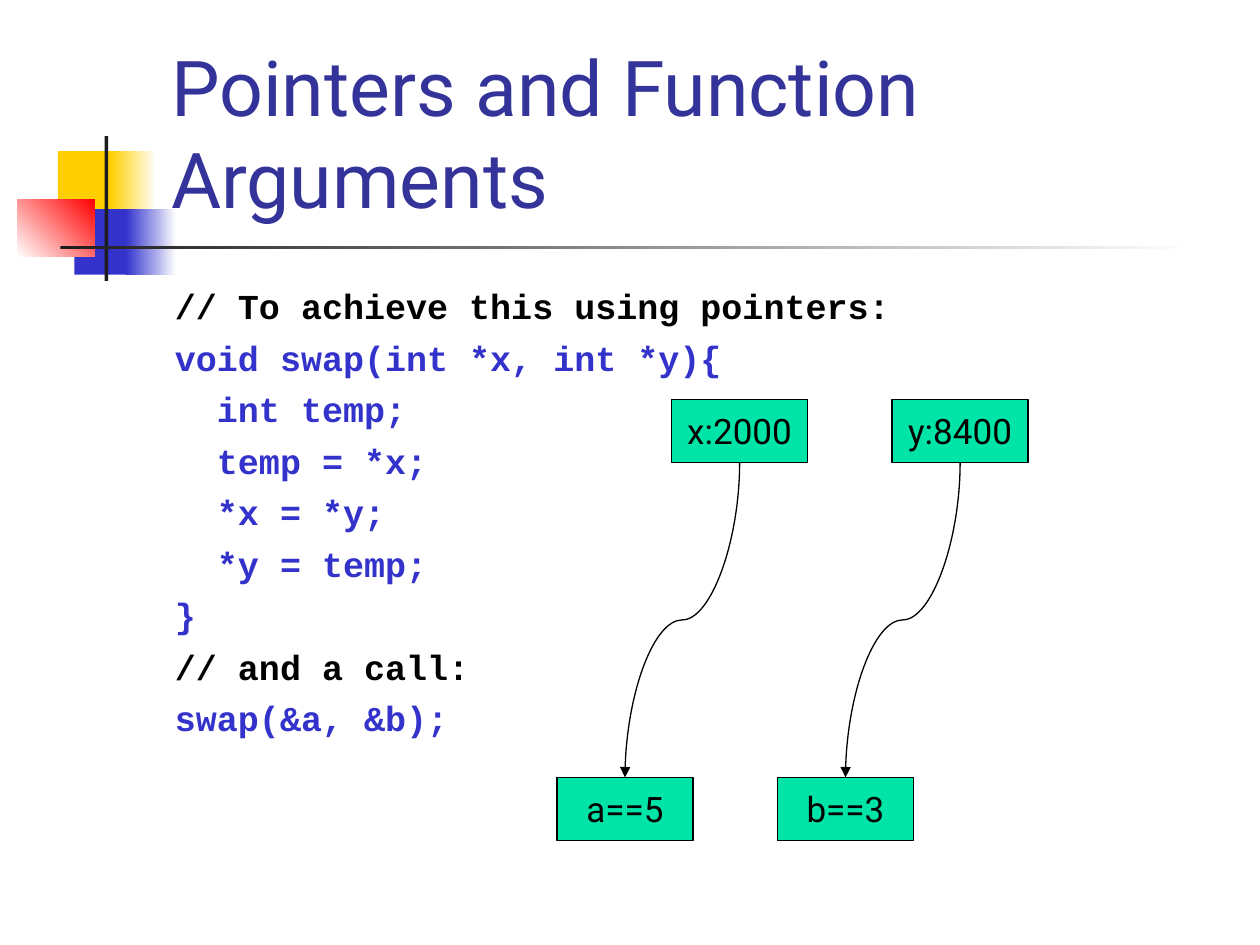
import pptx
import pptx.dml.color
import pptx.enum.shapes
import pptx.enum.text
import pptx.oxml
import pptx.oxml.ns
import pptx.util
from pptx.util import Inches

COLORS = {
    "yellow": "FFCF01", "blue": "3333CC", "red": "FF0000", "white": "FFFFFF",
    "charcoal": "1C1C1C", "title": "333399", "black": "000000", "green": "00E4A8",
}


class SlideBuilder:
    """Draws styled elements on one slide."""

    body_font = "Roboto"
    code_font = "Courier New"

    def __init__(self, slide):
        self.slide = slide

    def color(self, name):
        return pptx.dml.color.RGBColor.from_string(COLORS[name])

    def format_paragraph(self, paragraph, size, font, color, bold=False):
        for run in paragraph.runs:
            run.font.size = pptx.util.Pt(size)
            run.font.name = font
            run.font.bold = bold
            run.font.color.rgb = self.color(color)

    def rectangle(self, left, top, width, height, color, end_color=None, angle=0):
        shape = self.slide.shapes.add_shape(
            pptx.enum.shapes.MSO_SHAPE.RECTANGLE,
            Inches(left), Inches(top), Inches(width), Inches(height))
        shape.shadow.inherit = False
        shape.line.fill.background()
        if end_color:
            shape.fill.gradient()
            shape.fill.gradient_angle = angle
            for stop, name, position in zip(
                    shape.fill.gradient_stops, (color, end_color), (0, 1)):
                stop.color.rgb = self.color(name)
                stop.position = position
        else:
            shape.fill.solid()
            shape.fill.fore_color.rgb = self.color(color)
        return shape

    def text_box(self, left, top, width, height):
        shape = self.slide.shapes.add_textbox(
            Inches(left), Inches(top), Inches(width), Inches(height))
        shape.text_frame.word_wrap = True
        return shape.text_frame

    def title(self, text):
        text_frame = self.text_box(1.26, 0.23, 8.52, 1.6)
        text_frame.vertical_anchor = pptx.enum.text.MSO_ANCHOR.BOTTOM
        text_frame.text = text
        self.format_paragraph(text_frame.paragraphs[0], 44, self.body_font, "title")

    def code(self, lines):
        text_frame = self.text_box(1.29, 2.21, 8.5, 4.5)
        text_frame.text = "\n".join(lines)
        for paragraph in text_frame.paragraphs:
            color = "black" if paragraph.text.startswith("//") else "blue"
            paragraph.space_before = pptx.util.Pt(5.4)
            properties = paragraph._p.get_or_add_pPr()
            properties.set("marL", str(Inches(0.38)))
            properties.set("indent", str(-Inches(0.38)))
            self.format_paragraph(paragraph, 20, self.code_font, color, True)

    def variable(self, left, top, width, height, text):
        shape = self.rectangle(left, top, width, height, "green")
        shape.line.color.rgb = self.color("black")
        shape.line.width = pptx.util.Pt(0.75)
        text_frame = shape.text_frame
        text_frame.word_wrap = False
        text_frame.vertical_anchor = pptx.enum.text.MSO_ANCHOR.MIDDLE
        text_frame.text = text
        paragraph = text_frame.paragraphs[0]
        paragraph.alignment = pptx.enum.text.PP_ALIGN.CENTER
        self.format_paragraph(paragraph, 20, self.body_font, "black")

    def pointer(self, start_x, start_y, end_x, end_y):
        center_x, center_y = (start_x + end_x) / 2, (start_y + end_y) / 2
        half_length, half_shift = (end_y - start_y) / 2, (start_x - end_x) / 2
        connector = self.slide.shapes.add_connector(
            pptx.enum.shapes.MSO_CONNECTOR.CURVE,
            Inches(center_x - half_length), Inches(center_y - half_shift),
            Inches(center_x + half_length), Inches(center_y + half_shift))
        connector.line.color.rgb = self.color("black")
        connector.line.width = pptx.util.Pt(0.75)
        properties = connector._element.spPr
        properties.find(pptx.oxml.ns.qn("a:xfrm")).set("rot", str(90 * 60000))
        namespace = pptx.oxml.ns.nsdecls("a")
        connector.line._get_or_add_ln().append(
            pptx.oxml.parse_xml(f'<a:tailEnd {namespace} type="triangle"/>'))
        properties.append(pptx.oxml.parse_xml(f"<a:effectLst {namespace}/>"))


presentation = pptx.Presentation()
presentation.slide_width = Inches(10)
presentation.slide_height = Inches(7.5)
builder = SlideBuilder(presentation.slides.add_slide(presentation.slide_layouts[6]))

for decoration in (
    (0.46, 1.2, 0.48, 0.52, "yellow"),
    (0.88, 1.2, 0.36, 0.52, "yellow", "white"),
    (0.59, 1.66, 0.46, 0.52, "blue"),
    (1, 1.66, 0.4, 0.52, "blue", "white"),
    (0.14, 1.58, 0.61, 0.46, "white", "red", 45),
    (0.83, 1.08, 0.03, 1.15, "charcoal"),
    (0.48, 1.95, 9, 0.03, "charcoal", "white"),
):
    builder.rectangle(*decoration)

builder.title("Pointers and Function Arguments")
builder.code([
    "// To achieve this using pointers:",
    "void swap(int *x, int *y){",
    "  int temp;",
    "  temp = *x;",
    "  *x = *y;",
    "  *y = temp;",
    "}",
    "// and a call:",
    "swap(&a, &b);",
])

BOX_WIDTH, BOX_HEIGHT = 1.08, 0.5
POINTER_TOP, VALUE_TOP = 3.17, 6.17
POINTER_LEFT, VALUE_LEFT, COLUMN_STEP = 5.33, 4.42, 1.75
for column, (pointer_text, value_text) in enumerate(
        [("x:2000", "a==5"), ("y:8400", "b==3")]):
    pointer_left = POINTER_LEFT + column * COLUMN_STEP
    value_left = VALUE_LEFT + column * COLUMN_STEP
    builder.variable(value_left, VALUE_TOP, BOX_WIDTH, BOX_HEIGHT, value_text)
    builder.variable(pointer_left, POINTER_TOP, BOX_WIDTH, BOX_HEIGHT, pointer_text)
    builder.pointer(pointer_left + BOX_WIDTH / 2, POINTER_TOP + BOX_HEIGHT,
                    value_left + BOX_WIDTH / 2, VALUE_TOP)

presentation.save("out.pptx")
